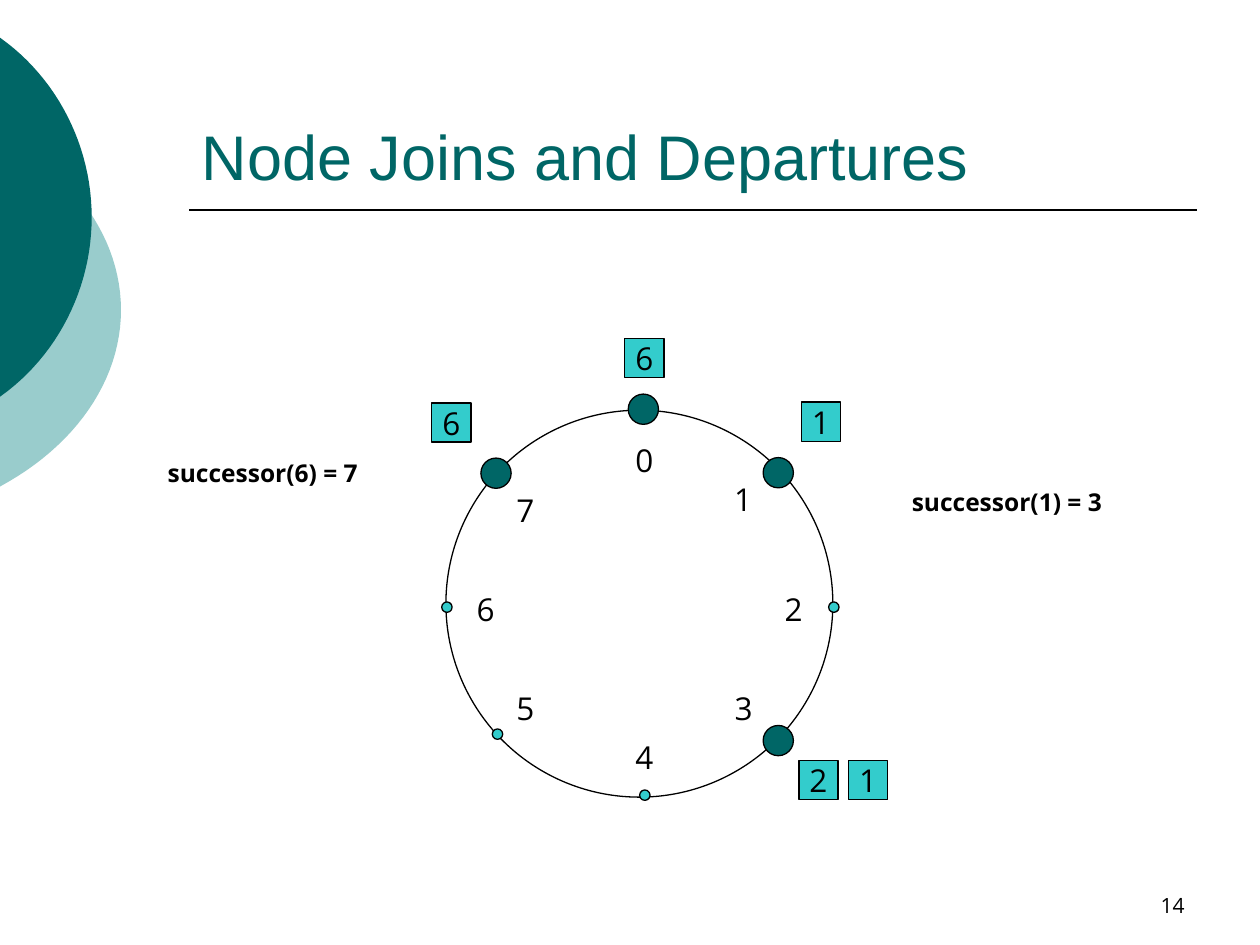
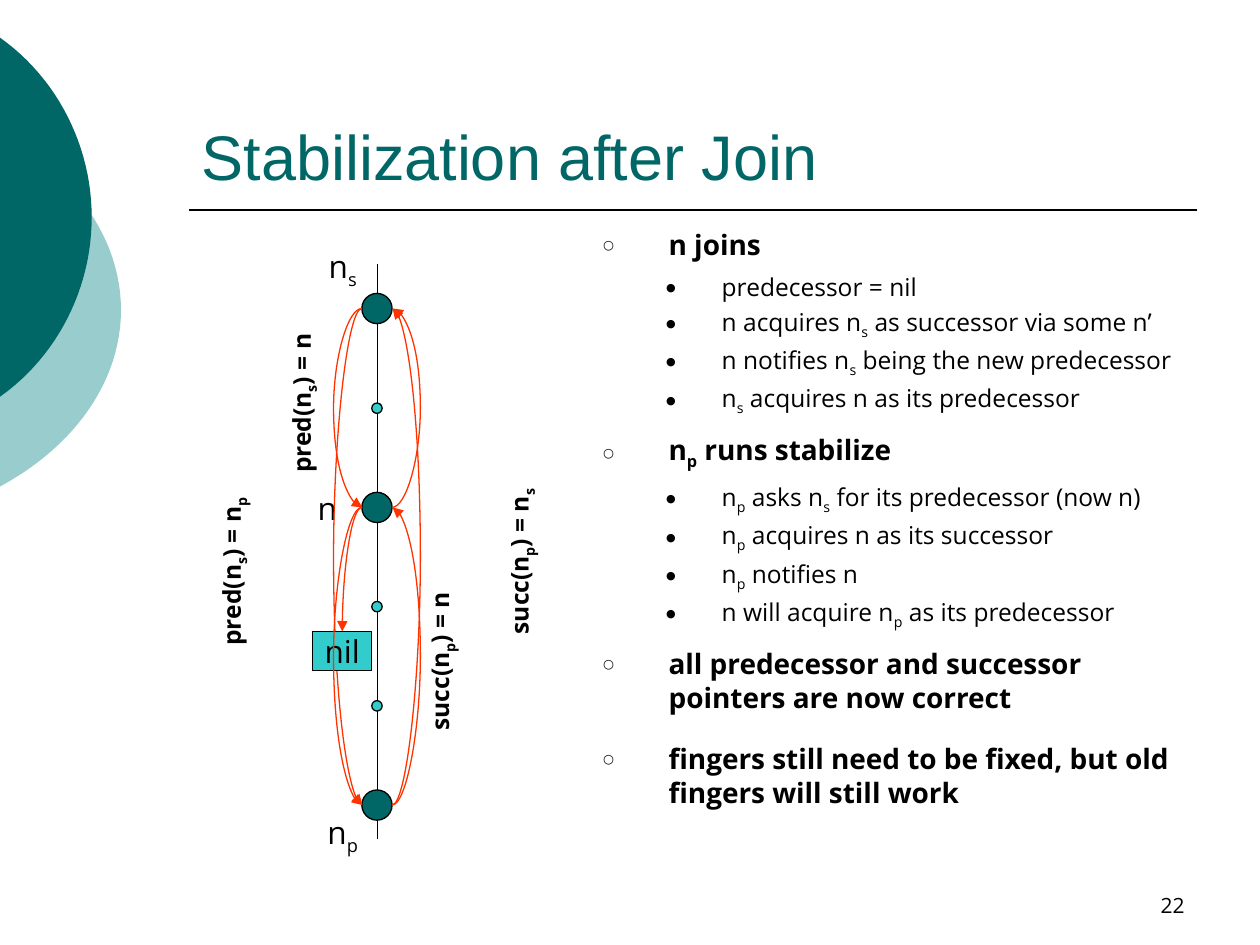
"""Build two slides on ring nodes: joins and departures, and stabilization."""
from lxml import etree
from pptx import Presentation
from pptx import util as u
from pptx.dml.color import RGBColor
from pptx.enum import shapes, text
from pptx.oxml.ns import qn

TEAL = RGBColor(0x00, 0x66, 0x66)
PALE = RGBColor(0x99, 0xCC, 0xCC)
AQUA = RGBColor(0x33, 0xCC, 0xCC)
RED = RGBColor(0xFF, 0x33, 0x00)
BLACK = RGBColor(0, 0, 0)
BODY_FONT = "Open Sans"
SHAPE, ALIGN, ANCHOR = shapes.MSO_SHAPE, text.PP_ALIGN, text.MSO_ANCHOR

ARCS = [
    (PALE, 6.25, [(0, 3.56), (1.52, 2.74), (2.44, 1.42), (2.44, 0)]),
    (TEAL, 4.38, [(0, 3.62), (1.17, 2.79), (1.85, 1.42), (1.85, 0)]),
]
NODE, DOT, KEY = 0.61, 0.21, 0.79

RING = (12.89, 12.17, 7.8)
RING_POINTS = [
    ((12.99, 8.28), (12.99, 9.28)),
    ((15.7, 9.45), (14.98, 10.06)),
    ((16.81, 12.24), (16, 12.28)),
    ((15.72, 14.85), (14.99, 14.28)),
    ((13, 16.03), (12.99, 15.26)),
    ((10.03, 14.8), (10.59, 14.28)),
    ((9.01, 12.24), (9.79, 12.28)),
    ((10.06, 9.5), (10.59, 10.27)),
]
RING_NODES = [(12.97, 8.25), (15.69, 9.53), (15.69, 14.93), (10, 9.54)]
KEYS = [("6", 12.99, 7.22), ("1", 16.55, 8.5), ("2", 16.5, 15.72),
        ("6", 9.1, 8.52), ("1", 17.5, 15.73)]
SUCCESSORS = [("successor(6) = 7", 5.3, 9.52), ("successor(1) = 3", 20.3, 10.12)]

AXIS = 7.6
NS_Y, N_Y, NP_Y = 6.22, 10.23, 16.23
NODE_LABELS = [("n_s", 6.91, 5.42), ("n", 6.6, N_Y), ("n_p", 6.91, 16.83)]
POINTERS = [("succ(n_p) = n_s", 10.5, 11.32), ("pred(n_s) = n_p", 4.7, 11.52),
            ("pred(n_s) = n", 6.11, 8.13), ("succ(n_p) = n", 8.9, 13.33)]
STEPS = [
    ("n joins", ["predecessor = nil",
                 "n acquires n_s as successor via some n’",
                 "n notifies n_s being the new predecessor",
                 "n_s acquires n as its predecessor"]),
    ("n_p runs stabilize", ["n_p asks n_s for its predecessor (now n)",
                            "n_p acquires n as its successor",
                            "n_p notifies n",
                            "n will acquire n_p as its predecessor"]),
    ("all predecessor and successor pointers are now correct", []),
    ("fingers still need to be fixed, but old fingers will still work", []),
]


def apply(obj, **values):
    for name, value in values.items():
        setattr(obj, name, value)


def write(p, words, size=18, bold=False, font=BODY_FONT, color=BLACK):
    """Write words into a paragraph; the letter after an underscore is a subscript."""
    first, *rest = words.split("_")
    pieces = [(first, False)]
    for part in rest:
        pieces += [(part[0], True), (part[1:], False)]
    for piece, low in pieces:
        if piece:
            r = p.add_run()
            r.text = piece
            apply(r.font, size=u.Pt(size), bold=bold, name=font)
            r.font.color.rgb = color
            if low:
                r.font._element.set("baseline", "-25000")


def centred(cx, cy, w, h):
    return [u.Cm(v) for v in (cx - w / 2, cy - h / 2, w, h)]


def center_text(sp, words, **style):
    tf = sp.text_frame
    apply(tf, word_wrap=False, vertical_anchor=ANCHOR.MIDDLE,
          margin_left=0, margin_right=0, margin_top=0, margin_bottom=0)
    p = tf.paragraphs[0]
    p.alignment = ALIGN.CENTER
    write(p, words, **style)


def label(s, words, cx, cy, w=0.81, h=0.8, rotation=0, **style):
    sp = s.shapes.add_textbox(*centred(cx, cy, w, h))
    sp.rotation = rotation
    center_text(sp, words, **style)


def outlined(s, kind, cx, cy, w, h, fill=None):
    sp = s.shapes.add_shape(kind, *centred(cx, cy, w, h))
    sp.shadow.inherit = False
    if fill is None:
        sp.fill.background()
    else:
        sp.fill.solid()
        sp.fill.fore_color.rgb = fill
    sp.line.color.rgb = BLACK
    sp.line.width = u.Pt(0.75)
    return sp


def circle(s, cx, cy, d, fill=None):
    outlined(s, SHAPE.OVAL, cx, cy, d, d, fill)


def key_box(s, words, cx, cy, w=KEY):
    center_text(outlined(s, SHAPE.RECTANGLE, cx, cy, w, KEY, AQUA), words)


def connect(s, kind, start, end, color=BLACK, width=0.75):
    sp = s.shapes.add_connector(kind, *[u.Cm(v) for v in (*start, *end)])
    sp.line.color.rgb = color
    sp.line.width = u.Pt(width)
    etree.SubElement(sp._element.spPr, qn("a:effectLst"))
    return sp


def curve(s, start, end, bulge=None):
    """Draw a red arrow, bowed sideways by bulge, or a quarter turn without it."""
    thin = 0.01
    if bulge is not None:
        end = (start[0] + thin, end[1])
    sp = connect(s, shapes.MSO_CONNECTOR.CURVE, start, end, RED)
    geom = sp._element.spPr.find(qn("a:prstGeom"))
    if bulge is None:
        geom.set("prst", "curvedConnector2")
    else:
        guides = geom.find(qn("a:avLst"))
        if guides is None:
            guides = etree.SubElement(geom, qn("a:avLst"))
        etree.SubElement(guides, qn("a:gd"), name="adj1",
                         fmla=f"val {round(bulge / thin * 100000)}")
    etree.SubElement(sp.line._get_or_add_ln(), qn("a:tailEnd"), type="triangle")


def bow(s, low, high):
    """Link two nodes: a successor arrow up the right, a predecessor one down the left."""
    r, bulge = NODE / 2, 0.57
    curve(s, (AXIS + r, low), (AXIS + r, high), bulge)
    curve(s, (AXIS - r, high), (AXIS - r, low), -bulge)


def bezier(points, t):
    weights = ((1 - t) ** 3, 3 * t * (1 - t) ** 2, 3 * t * t * (1 - t), t ** 3)
    return [sum(w * pt[i] for w, pt in zip(weights, points)) for i in (0, 1)]


def add_slide(prs, title, number):
    s = prs.slides.add_slide(prs.slide_layouts[5])
    for color, cy, controls in ARCS:
        half = [bezier(controls, i / 24) for i in range(25)]
        edge = [(x, cy - y) for x, y in half] + [(x, cy + y) for x, y in half[-2::-1]]
        edge = [(u.Cm(x), u.Cm(y)) for x, y in edge]
        fb = s.shapes.build_freeform(*edge[0])
        fb.add_line_segments(edge[1:], close=True)
        sp = fb.convert_to_shape()
        sp.shadow.inherit = False
        sp.fill.solid()
        sp.fill.fore_color.rgb = color
        sp.line.fill.background()
    connect(s, shapes.MSO_CONNECTOR.STRAIGHT, (3.81, 4.24), (24.13, 4.24), width=1)

    sp = s.shapes.title
    apply(sp, left=u.Cm(3.81), top=u.Cm(0.84), width=u.Cm(20.32), height=u.Cm(3.18))
    apply(sp.text_frame, vertical_anchor=ANCHOR.BOTTOM, word_wrap=True,
          auto_size=text.MSO_AUTO_SIZE.NONE)
    p = sp.text_frame.paragraphs[0]
    p.alignment = ALIGN.LEFT
    write(p, title, size=36, font="Arial", color=TEAL)

    tf = s.shapes.add_textbox(*[u.Cm(v) for v in (18.21, 17.35, 5.92, 1.27)]).text_frame
    apply(tf, vertical_anchor=ANCHOR.BOTTOM, word_wrap=True)
    tf.paragraphs[0].alignment = ALIGN.RIGHT
    write(tf.paragraphs[0], number, size=12)
    return s


def bullet(p, words, char, size, bold, margin, indent, before, after):
    apply(p, line_spacing=1.0, space_before=u.Pt(before), space_after=u.Pt(after))
    pPr = p._p.get_or_add_pPr()
    pPr.set("marL", str(u.Cm(margin)))
    pPr.set("indent", str(-u.Cm(indent)))
    clr = etree.SubElement(pPr, qn("a:buClr"))
    etree.SubElement(clr, qn("a:srgbClr"), val=str(BLACK))
    etree.SubElement(pPr, qn("a:buSzPct"), val="45000")
    etree.SubElement(pPr, qn("a:buFont"), typeface=BODY_FONT)
    etree.SubElement(pPr, qn("a:buChar"), char=char)
    write(p, words, size=size, bold=bold)


def joins_slide(prs):
    s = add_slide(prs, "Node Joins and Departures", "14")
    circle(s, *RING)
    for i, (dot, spot) in enumerate(RING_POINTS):
        circle(s, *dot, DOT, AQUA)
        label(s, str(i), *spot)
    for node in RING_NODES:
        circle(s, *node, NODE, TEAL)
    for key in KEYS:
        key_box(s, *key)
    for words, cx, cy in SUCCESSORS:
        label(s, words, cx, cy, w=4.39, size=14, bold=True)


def stabilization_slide(prs):
    s = add_slide(prs, "Stabilization after Join", "22")
    connect(s, shapes.MSO_CONNECTOR.STRAIGHT, (7.61, 16.92), (7.61, 5.33))
    for i in range(4):
        circle(s, AXIS, 8.23 + 2 * i, DOT, AQUA)
    for y in (NS_Y, N_Y, NP_Y):
        circle(s, AXIS, y, NODE, TEAL)
    for words, cx, cy in NODE_LABELS:
        label(s, words, cx, cy, h=0.99)
    for words, cx, cy in POINTERS:
        label(s, words, cx, cy, w=5.2, rotation=270, size=14, bold=True)
    bow(s, NP_Y, NS_Y)
    key_box(s, "nil", 6.9, 13.12, w=1.19)
    curve(s, (AXIS - NODE / 2, N_Y), (6.9, 12.73))
    bow(s, N_Y, NS_Y)
    bow(s, NP_Y, N_Y)

    tf = s.shapes.add_textbox(*[u.Cm(v) for v in (11.91, 4.47, 12.6, 13.64)]).text_frame
    tf.word_wrap = True
    p = tf.paragraphs[0]
    for head, details in STEPS:
        if p.runs:
            p = tf.add_paragraph()
        bullet(p, head, "○", 16, True, 1.32, 1.32, 8, 4.8 if details else 8)
        for detail in details:
            p = tf.add_paragraph()
            p.level = 1
            bullet(p, detail, "●", 14, False, 2.39, 1.12, 1.4, 1.4)


prs = Presentation()
apply(prs, slide_width=u.Cm(25.4), slide_height=u.Cm(19.05))
joins_slide(prs)
stabilization_slide(prs)
prs.save("out.pptx")
